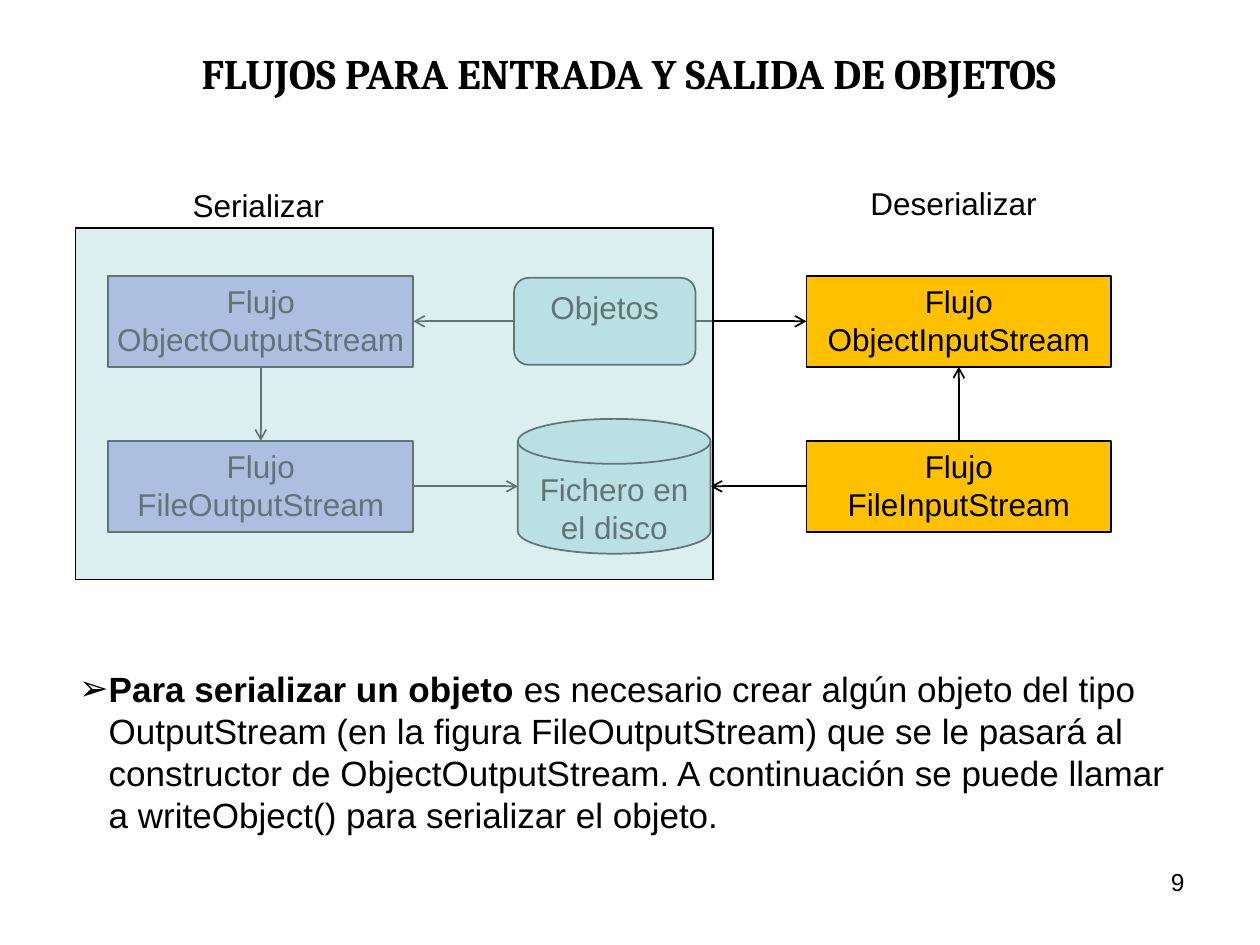
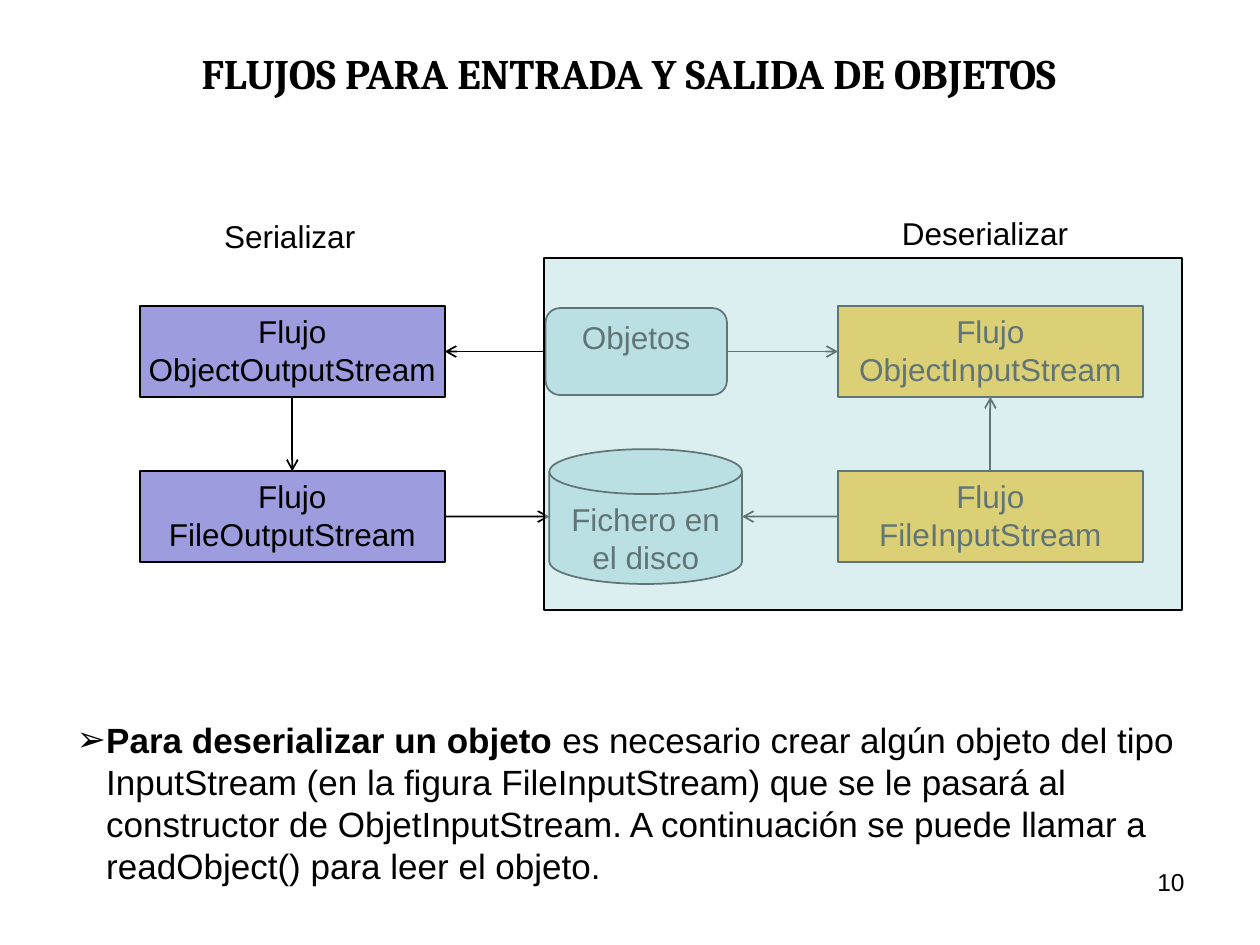
from dataclasses import dataclass

from lxml import etree
from pptx import Presentation
from pptx.dml.color import RGBColor
from pptx.enum.shapes import MSO_CONNECTOR, MSO_SHAPE
from pptx.enum.text import MSO_ANCHOR, MSO_AUTO_SIZE, PP_ALIGN
from pptx.oxml.ns import qn
from pptx.util import Inches, Pt

STRAIGHT = MSO_CONNECTOR.STRAIGHT
RECTANGLE = MSO_SHAPE.RECTANGLE
ROUNDED = MSO_SHAPE.ROUNDED_RECTANGLE
DISK = MSO_SHAPE.FLOWCHART_MAGNETIC_DISK
LEFT, CENTER, RIGHT = PP_ALIGN.LEFT, PP_ALIGN.CENTER, PP_ALIGN.RIGHT
TOP, MIDDLE = MSO_ANCHOR.TOP, MSO_ANCHOR.MIDDLE
NO_AUTOFIT = MSO_AUTO_SIZE.NONE
SITE_TOP, SITE_LEFT, SITE_BOTTOM, SITE_RIGHT = range(4)


@dataclass(frozen=True)
class Theme:
    ink: RGBColor = RGBColor(0x00, 0x00, 0x00)
    output: RGBColor = RGBColor(0x9C, 0x9C, 0xDF)
    input: RGBColor = RGBColor(0xFF, 0xC0, 0x00)
    data: RGBColor = RGBColor(0xBB, 0xE0, 0xE3)
    veil_opacity: int = 52
    body_font: str = "Arial"
    title_font: str = "Cambria"
    title_size: int = 24
    body_size: int = 20
    diagram_size: int = 18
    number_size: int = 14
    line_width: int = 1


THEME = Theme()
TITLE = "FLUJOS PARA ENTRADA Y SALIDA DE OBJETOS"
TITLE_BOX = (0.27, 0.29, 9.44, 0.57)
NUMBER_BOX = (7.17, 6.83, 2.33, 0.52)
STREAM_SIZE = (2.42, 0.72)
OBJECTS_SIZE = (1.44, 0.69)
DISK_SIZE = (1.53, 1.07)
VEIL_SIZE = (5.06, 2.79)
VEIL_TOP = 0.4
COLUMN_STEP = 5.54
ROW_TOPS = (0.78, 2.09)
BULLET_INDENT = 0.235

SLIDES = [
    {
        "number": 9,
        "diagram_origin": (0.86, 1.41),
        "veil_left": -0.26,
        "note_box": (0.53, 5.25, 8.97, 1.74),
        "lead": "Para serializar un objeto ",
        "rest": "es necesario crear algún objeto del tipo OutputStream (en la figura "
                "FileOutputStream) que se le pasará al constructor de ObjectOutputStream. "
                "A continuación se puede llamar a writeObject() para serializar el objeto.",
    },
    {
        "number": 10,
        "diagram_origin": (1.11, 1.65),
        "veil_left": 3.21,
        "note_box": (0.51, 5.65, 8.97, 1.47),
        "lead": "Para deserializar un objeto ",
        "rest": "es necesario crear algún objeto del tipo InputStream (en la figura "
                "FileInputStream) que se le pasará al constructor de ObjetInputStream. "
                "A continuación se puede llamar a readObject() para leer el objeto.",
    },
]


def inches(box):
    return [Inches(length) for length in box]


def style_text(frame, size, align=LEFT, font=THEME.body_font, bold=False):
    for paragraph in frame.paragraphs:
        paragraph.alignment = align
        for run in paragraph.runs:
            run.font.name = font
            run.font.size = Pt(size)
            run.font.bold = bold
            run.font.color.rgb = THEME.ink


def add_text(slide, box, text, size, align=LEFT, wrap=True):
    frame = slide.shapes.add_textbox(*inches(box)).text_frame
    frame.word_wrap = wrap
    frame.text = text
    style_text(frame, size, align)


def add_node(slide, kind, box, fill, text=""):
    node = slide.shapes.add_shape(kind, *inches(box))
    node.shadow.inherit = False
    node.fill.solid()
    node.fill.fore_color.rgb = fill
    node.line.color.rgb = THEME.ink
    node.line.width = Pt(THEME.line_width)
    frame = node.text_frame
    frame.word_wrap = False
    frame.vertical_anchor = TOP
    frame.text = text
    style_text(frame, THEME.diagram_size, CENTER)
    return node


def add_arrow(slide, source, source_site, target_point=(0, 0), target=None, target_site=None):
    arrow = slide.shapes.add_connector(STRAIGHT, 0, 0, *target_point)
    arrow.begin_connect(source, source_site)
    if target is not None:
        arrow.end_connect(target, target_site)
    arrow.line.color.rgb = THEME.ink
    arrow.line.width = Pt(THEME.line_width)
    line = arrow.line._get_or_add_ln()
    etree.SubElement(line, qn("a:tailEnd"), type="arrow")
    etree.SubElement(arrow._element.spPr, qn("a:effectLst"))


def add_veil(slide, box):
    veil = add_node(slide, RECTANGLE, box, THEME.data)
    color = veil._element.spPr.find(qn("a:solidFill")).find(qn("a:srgbClr"))
    etree.SubElement(color, qn("a:alpha"), val=str(THEME.veil_opacity * 1000))


def add_title(slide):
    title = slide.shapes.title
    title.left, title.top, title.width, title.height = inches(TITLE_BOX)
    frame = title.text_frame
    frame.margin_left = frame.margin_right = frame.margin_top = frame.margin_bottom = 0
    frame.auto_size = NO_AUTOFIT
    frame.word_wrap = True
    frame.vertical_anchor = MIDDLE
    frame.text = TITLE
    style_text(frame, THEME.title_size, CENTER, THEME.title_font, bold=True)


def add_diagram(slide, origin, veil_left):
    left, top = origin

    def place(x, y, size):
        return (left + x, top + y, *size)

    def centered(x, row, size):
        return place(x, ROW_TOPS[row] + (STREAM_SIZE[1] - size[1]) / 2, size)

    def stream(column, row, name, fill):
        box = place(column * COLUMN_STEP, ROW_TOPS[row], STREAM_SIZE)
        return add_node(slide, RECTANGLE, box, fill, f"Flujo\n{name}")

    objects = add_node(slide, ROUNDED, centered(3.22, 0, OBJECTS_SIZE), THEME.data, "Objetos")
    object_output = stream(0, 0, "ObjectOutputStream", THEME.output)
    object_input = stream(1, 0, "ObjectInputStream", THEME.input)
    file_output = stream(0, 1, "FileOutputStream", THEME.output)
    file_input = stream(1, 1, "FileInputStream", THEME.input)
    disk = add_node(slide, DISK, centered(3.25, 1, DISK_SIZE), THEME.data,
                    "Fichero en\nel disco")

    for source, source_site, target, target_site in (
        (objects, SITE_LEFT, object_output, SITE_RIGHT),
        (objects, SITE_RIGHT, object_input, SITE_LEFT),
        (object_output, SITE_BOTTOM, file_output, SITE_TOP),
        (file_input, SITE_TOP, object_input, SITE_BOTTOM),
    ):
        add_arrow(slide, source, source_site, target=target, target_site=target_site)
    disk_middle = disk.top + disk.height // 2
    add_arrow(slide, file_output, SITE_RIGHT, (disk.left, disk_middle))
    add_arrow(slide, file_input, SITE_LEFT, (disk.left + disk.width, disk_middle))

    add_text(slide, place(0.57, 0.02, (1.24, 0.4)), "Serializar",
             THEME.diagram_size, wrap=False)
    add_text(slide, place(5.95, 0, (1.59, 0.4)), "Deserializar",
             THEME.diagram_size, wrap=False)
    add_veil(slide, place(veil_left, VEIL_TOP, VEIL_SIZE))


def add_note(slide, box, lead, rest):
    frame = slide.shapes.add_textbox(*inches(box)).text_frame
    frame.word_wrap = True
    paragraph = frame.paragraphs[0]
    properties = paragraph._p.get_or_add_pPr()
    properties.set("marL", str(Inches(BULLET_INDENT)))
    properties.set("indent", str(-Inches(BULLET_INDENT)))
    bullet_color = etree.SubElement(properties, qn("a:buClr"))
    etree.SubElement(bullet_color, qn("a:srgbClr"), val=str(THEME.ink))
    etree.SubElement(properties, qn("a:buFont"), typeface=THEME.body_font)
    etree.SubElement(properties, qn("a:buChar"), char="➢")
    for text in (lead, rest):
        paragraph.add_run().text = text
    style_text(frame, THEME.body_size)
    paragraph.runs[0].font.bold = True


def build_slide(deck, content):
    slide = deck.slides.add_slide(deck.slide_layouts.get_by_name("Title Only"))
    add_text(slide, NUMBER_BOX, str(content["number"]), THEME.number_size, RIGHT)
    add_title(slide)
    add_note(slide, content["note_box"], content["lead"], content["rest"])
    add_diagram(slide, content["diagram_origin"], content["veil_left"])


def main():
    deck = Presentation()
    deck.slide_width, deck.slide_height = Inches(10), Inches(7.5)
    for content in SLIDES:
        build_slide(deck, content)
    deck.save("out.pptx")


if __name__ == "__main__":
    main()
